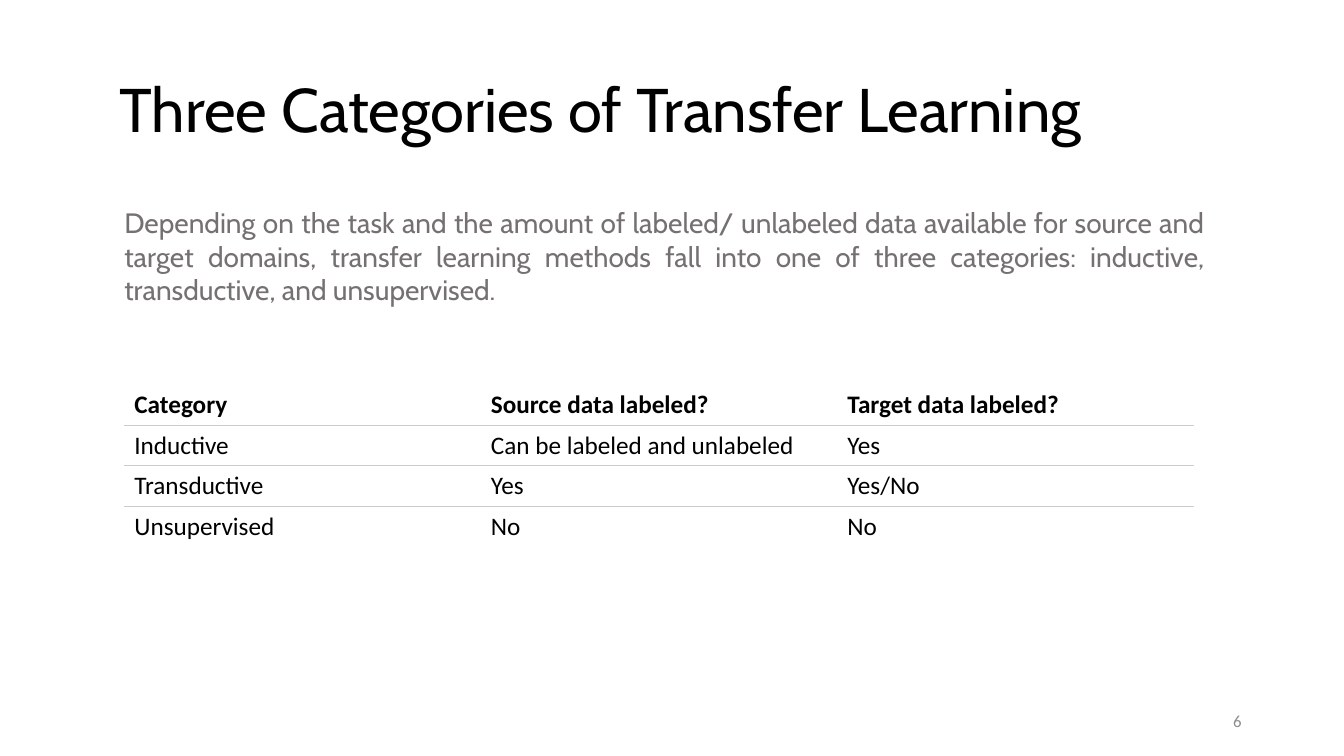
import pptx
import pptx.dml.color
import pptx.enum.shapes
import pptx.enum.text
import pptx.oxml
import pptx.oxml.ns
import pptx.util
from dataclasses import dataclass

Pt = pptx.util.Pt
RGB = pptx.dml.color.RGBColor.from_string
ALIGN = pptx.enum.text.PP_ALIGN
ANCHOR = pptx.enum.text.MSO_ANCHOR


@dataclass(frozen=True)
class Theme:
    white: str = "FFFFFF"
    rule: str = "CCCCCC"
    rule_width: float = 0.75
    title = dict(name="Cabin", size=Pt(44), bold=False, color="000000")
    body = dict(name="Cabin", size=Pt(20), bold=False, color="767171")
    head = dict(name="Calibri", size=Pt(18), bold=True, color="000000")
    cell = dict(name="Calibri", size=Pt(18), bold=False, color="000000")
    number = dict(name="Calibri", size=Pt(12), bold=False, color="8C8C8C")


THEME = Theme()
ROWS = [
    ("Category", "Source data labeled?", "Target data labeled?"),
    ("Inductive", "Can be labeled and unlabeled", "Yes"),
    ("Transductive", "Yes", "Yes/No"),
    ("Unsupervised", "No", "No"),
]


def write(tf, text, font, align=ALIGN.LEFT, **frame):
    """Set one paragraph of text with its font and frame settings."""
    for key, value in dict(word_wrap=True, **frame).items():
        setattr(tf, key, value)
    p = tf.paragraphs[0]
    p.alignment = align
    r = p.add_run()
    r.text = text
    for key, value in font.items():
        if key == "color":
            r.font.color.rgb = RGB(value)
        else:
            setattr(r.font, key, value)
    return p


def add_title(s, text, box):
    sp = s.shapes.title
    sp.left, sp.top, sp.width, sp.height = map(Pt, box)
    p = write(sp.text_frame, text, THEME.title, vertical_anchor=ANCHOR.TOP,
              auto_size=pptx.enum.text.MSO_AUTO_SIZE.NONE)
    p.line_spacing = 0.9
    # Bring the title in front of the white paragraph panel
    tree = sp.element.getparent()
    tree.append(sp.element)


def add_intro(s, text, box):
    sp = s.shapes.add_shape(pptx.enum.shapes.MSO_SHAPE.RECTANGLE, *map(Pt, box))
    sp.shadow.inherit = False
    sp.fill.solid()
    sp.fill.fore_color.rgb = RGB(THEME.white)
    sp.line.fill.background()
    write(sp.text_frame, text, THEME.body, ALIGN.JUSTIFY,
          vertical_anchor=ANCHOR.BOTTOM, margin_left=0, margin_right=0,
          margin_top=Pt(18.7), margin_bottom=Pt(6.5))


def set_borders(cell, ruled_sides):
    """Rule the given sides of a cell and clear the others."""
    ns = pptx.oxml.ns.nsdecls("a")
    tcPr = cell._tc.get_or_add_tcPr()
    for side in "LRTB":
        fill = "<a:noFill/>"
        if side in ruled_sides:
            fill = f'<a:solidFill><a:srgbClr val="{THEME.rule}"/></a:solidFill>'
        tcPr.append(pptx.oxml.parse_xml(
            f'<a:ln{side} {ns} w="{Pt(THEME.rule_width)}">{fill}</a:ln{side}>'))


def add_category_table(s, rows, box):
    table = s.shapes.add_table(len(rows), len(rows[0]), *map(Pt, box)).table
    table.horz_banding = False
    last = len(rows) - 1
    for i, row in enumerate(rows):
        sides = ("T" if i > 0 else "") + ("B" if i < last else "")
        for j, text in enumerate(row):
            cell = table.cell(i, j)
            cell.vertical_anchor = ANCHOR.MIDDLE
            set_borders(cell, sides)
            cell.fill.solid()
            cell.fill.fore_color.rgb = RGB(THEME.white)
            write(cell.text_frame, text, THEME.cell if i else THEME.head)


def add_number(s, text, box):
    sp = s.shapes.add_textbox(*map(Pt, box))
    write(sp.text_frame, text, THEME.number, ALIGN.RIGHT,
          vertical_anchor=ANCHOR.MIDDLE)


def main():
    prs = pptx.Presentation()
    prs.slide_width, prs.slide_height = Pt(960), Pt(540)
    s = prs.slides.add_slide(prs.slide_layouts[5])

    # Page number, table, introduction, then title
    add_number(s, "6", (678, 500.4, 216, 28.8))
    add_category_table(s, ROWS, (88.8, 274.4, 764, 116.8))
    add_intro(s, "Depending on the task and the amount of labeled/ unlabeled "
              "data available for source and target domains, transfer learning "
              "methods fall into one of three categories: inductive, "
              "transductive, and unsupervised.", (88.8, 103, 772, 122.4))
    add_title(s, "Three Categories of Transfer Learning", (78, 53.3, 828, 104.4))

    prs.save("out.pptx")


if __name__ == "__main__":
    main()
